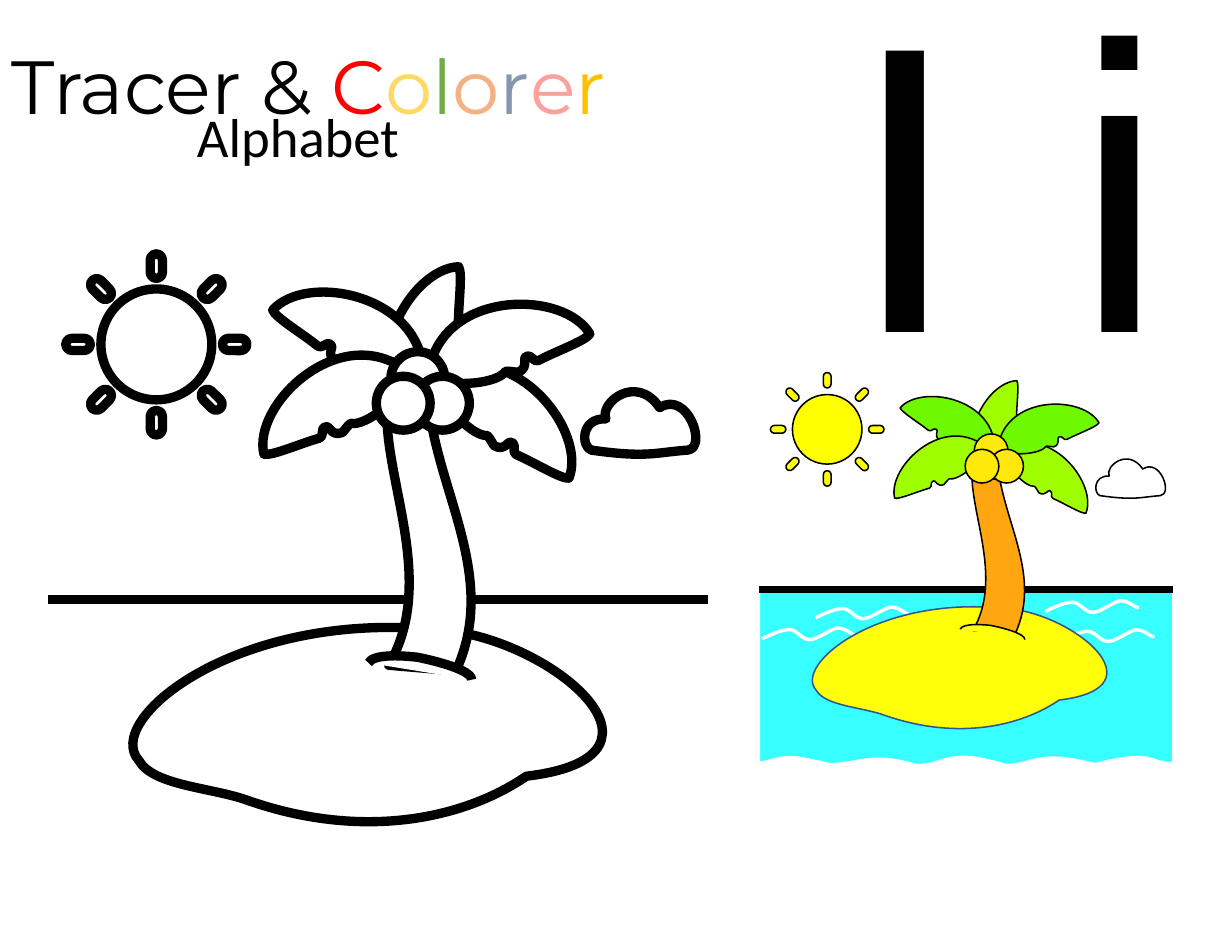
import math
import lxml.etree
import pptx
import pptx.util
import pptx.dml.color
import pptx.enum.shapes
import pptx.enum.text
import pptx.oxml.ns

Pt = pptx.util.Pt
Kind = pptx.enum.shapes.MSO_SHAPE
qn = pptx.oxml.ns.qn

THEME = {
    "black": "000000", "white": "FFFFFF", "sea": "37FFFF", "sand": "FFFF09",
    "shore": "325491", "sun": "FFFF00", "trunk": "FFA610", "nut": "FFE908",
    "lime": "9FFF00", "green": "6FF900",
    "letter": ("Arial", 262.9), "title": ("Montserrat", 48.4), "sub": ("Calibri", 35.2),
}

TITLE = [("Tracer & ", "000000"), ("C", "FF0000"), ("o", "FFD966"), ("l", "70AD47"),
         ("o", "F4B183"), ("r", "8497B0"), ("e", "FCA29C"), ("r", "FFC000")]
# text runs, box (left, top, width, height), font, left inset, centred
TEXTS = [
    ([("I i", "black")], (465.1, -52.6, 311.8, 326.2), "letter", 80.3, False),
    (TITLE, (0, 21.6, 462.2, 66.2), "title", 7.2, False),
    ([("Alphabet", "black")], (7.2, 62.6, 368.6, 49.7), "sub", 7.2, True),
]

# Outlines: a start point, then lines (2 numbers) or Bezier curves (6 numbers).
# Scene lengths are measured from the left end of the horizon.
WIDE = 424
SEA = [(0, 0), (WIDE, 0), (WIDE, 178),
       (397, 178, 406, 163, 344, 179), (283, 164, 283, 179, 253, 180),
       (191, 161, 192, 180, 161, 180), (114, 166, 102, 179, 72, 179),
       (24, 168, 30, 171, 0, 178)]
WAVE = [(0, 0), (10, -5, 20, -9.4, 28, -9.4), (36, -9, 41, 1.4, 49, 0.9),
        (57, 0.5, 70, -10, 77, -11), (84, -11.5, 90, -6, 93, -4.5),
        (96, -3.5, 95, -4, 94.3, -4.5)]
WAVES = [(2.9, 51), (57.6, 29.5), (309, 52.8), (293, 23)]
ISLAND = [(249, 19.6), (319.7, 22.3, 416, 101, 307.4, 113.8),
          (266.4, 141.8, 201.6, 154.8, 128.9, 129.6),
          (105.8, 121, 67.7, 120.2, 58.3, 103.7), (34.6, 77.8, 121, 7.2, 249, 19.6)]
CLOUD = [(358.6, -115.9), (354.2, -126, 378, -145.4, 393.1, -123.1),
         (411.1, -134.6, 424.1, -97.2, 411.1, -95.8),
         (390.2, -94.3, 385.2, -90.7, 349.2, -95.8),
         (342.7, -97.9, 342, -116.6, 358.6, -115.9)]
TRUNK = [(218.2, -128.2), (244.8, -123.8), (251.3, -67, 289.4, -13, 262.1, 46.1),
         (218.9, 42.5), (251.3, -13, 213.1, -81.4, 218.2, -128.2)]
FOOT = [(205.9, 41), (208.8, 35.3, 226.1, 36, 237.6, 37.4),
        (248.4, 39.6, 272.2, 45.4, 272.2, 51.8)]
LEAF = [(-43.2, -23.8), (-37.4, -32.4), (7.9, -51.8, 52.6, 6.5, 41, 36),
        (36, 36.7, 18.7, 25.9, 7.2, 20.9), (3.6, 18, 7.9, 15.8, 4.3, 13),
        (2.2, 10.8, 0, 19.4, -7.2, 15.1), (-8.6, 13, -9.4, 10.8, -11.5, 8.6),
        (-20.9, 9.4, -40.3, -10.8, -43.2, -23.8)]
# centre, turn in degrees, mirrored, colour
LEAVES = [((247.7, -161.3), 246.2, False, "lime"), ((293.8, -113.8), 0, False, "lime"),
          ((294.5, -160.6), 308.5, False, "green"), ((195.1, -165.6), 62.7, True, "green"),
          ((184.3, -123.1), 8, True, "lime")]
NUTS = [(237.6, -141.8), (253.4, -126), (228.2, -126)]
NUT = 34.6
SUN, DISC = (69.5, -163.8), 71.3
RAYS, RING, RAY = 8, 50.3, (15.8, 7.9)

# origin, scale, line width, horizon width, in colour
SCENES = [((488.2, 378.7), 0.627, 1, 4.5, True), ((31, 385.2), 1, 6, 6, False)]


def color(name):
    return pptx.dml.color.RGBColor.from_string(THEME.get(name, name))


def trace(segs, steps=14):
    """Sample points along an outline, to find how far it reaches."""
    pts = list(segs[0])
    for seg in segs[1:]:
        if len(seg) == 1:
            pts += seg
            continue
        ends = [pts[-1], *seg]
        for i in range(1, steps + 1):
            t = i / steps
            mix = ((1 - t) ** 3, 3 * t * (1 - t) ** 2, 3 * t * t * (1 - t), t ** 3)
            pts.append(tuple(round(sum(m * p[k] for m, p in zip(mix, ends)))
                             for k in (0, 1)))
    return pts


def bend(shape, segs, left, top, close):
    """Give a freeform true Bezier curves in place of its straight steps."""
    route = next(shape._element.iter(qn("a:path")))
    for child in list(route):
        route.remove(child)
    for i, seg in enumerate(segs):
        tag = "a:moveTo" if i == 0 else "a:lnTo" if len(seg) == 1 else "a:cubicBezTo"
        move = lxml.etree.SubElement(route, qn(tag))
        for x, y in seg:
            lxml.etree.SubElement(move, qn("a:pt"), x=str(x - left), y=str(y - top))
    if close:
        lxml.etree.SubElement(route, qn("a:close"))


class Scene:
    def __init__(self, slide, origin, scale, width, tinted):
        self.shapes = slide.shapes.add_group_shape().shapes
        self.origin, self.scale = origin, scale
        self.width, self.tinted = width, tinted

    def place(self, x, y):
        return Pt(self.origin[0] + x * self.scale), Pt(self.origin[1] + y * self.scale)

    def paint(self, shape, fill, line="black", width=None):
        shape.shadow.inherit = False
        if fill:
            shape.fill.solid()
            shape.fill.fore_color.rgb = color(fill if self.tinted else "white")
        else:
            shape.fill.background()
        shape.line.color.rgb = color(line if self.tinted else "black")
        shape.line.width = Pt(width or self.width)

    def outline(self, route, fill, line="black", width=None, at=(0, 0), turn=0,
                flip=False, close=True):
        sign = -1 if flip else 1
        segs = [[self.place(at[0] + sign * x, at[1] + y)
                 for x, y in zip(seg[::2], seg[1::2])] for seg in route]
        pts = trace(segs)
        pen = self.shapes.build_freeform(*pts[0])
        pen.add_line_segments(pts[1:], close=close)
        shape = pen.convert_to_shape()
        bend(shape, segs, min(x for x, y in pts), min(y for x, y in pts), close)
        shape.rotation = turn
        self.paint(shape, fill, line, width)

    def preset(self, kind, mid, size, fill, turn=0):
        w, h = size
        shape = self.shapes.add_shape(kind, *self.place(mid[0] - w / 2, mid[1] - h / 2),
                                      Pt(w * self.scale), Pt(h * self.scale))
        if kind == Kind.ROUNDED_RECTANGLE:
            shape.adjustments[0] = 0.5
        shape.rotation = turn
        self.paint(shape, fill)

    def horizon(self, width):
        line = self.shapes.add_connector(pptx.enum.shapes.MSO_CONNECTOR.STRAIGHT,
                                         *self.place(0, 0), *self.place(WIDE, 0))
        line.line.color.rgb = color("black")
        line.line.width = Pt(width)
        lxml.etree.SubElement(line._element.spPr, qn("a:effectLst"))


def draw(slide, origin, scale, width, edge, tinted):
    scene = Scene(slide, origin, scale, width, tinted)
    if tinted:
        scene.outline(SEA, "sea", "white")
        for spot in WAVES:
            scene.outline(WAVE, None, "white", 2.25, at=spot, close=False)
    scene.horizon(edge)
    scene.outline(ISLAND, "sand", "shore")
    scene.outline(CLOUD, "white")
    scene.preset(Kind.OVAL, SUN, (DISC, DISC), "sun")
    for i in range(RAYS):
        turn = 360 * i / RAYS
        angle = math.radians(turn + 180)
        mid = (SUN[0] + RING * math.cos(angle), SUN[1] + RING * math.sin(angle))
        scene.preset(Kind.ROUNDED_RECTANGLE, mid, RAY, "sun", turn)
    scene.outline(TRUNK, "trunk")
    for mid, turn, flip, fill in LEAVES:
        scene.outline(LEAF, fill, at=mid, turn=turn, flip=flip)
    for mid in NUTS:
        scene.preset(Kind.OVAL, mid, (NUT, NUT), "nut")
    scene.outline(FOOT, "sand", close=False)


def write(slide, runs, box, style, inset, centred):
    frame = slide.shapes.add_textbox(*map(Pt, box)).text_frame
    frame.word_wrap = True
    frame.auto_size = pptx.enum.text.MSO_AUTO_SIZE.SHAPE_TO_FIT_TEXT
    frame.margin_left = Pt(inset)
    para = frame.paragraphs[0]
    if centred:
        para.alignment = pptx.enum.text.PP_ALIGN.CENTER
    for text, tint in runs:
        run = para.add_run()
        run.text = text
        run.font.name, size = THEME[style]
        run.font.size = Pt(size)
        run.font.color.rgb = color(tint)


deck = pptx.Presentation()
deck.slide_width, deck.slide_height = Pt(792), Pt(612)
page = deck.slides.add_slide(deck.slide_layouts[6])
write(page, *TEXTS[0])
for view in SCENES:
    draw(page, *view)
for text in TEXTS[1:]:
    write(page, *text)
deck.save("out.pptx")
